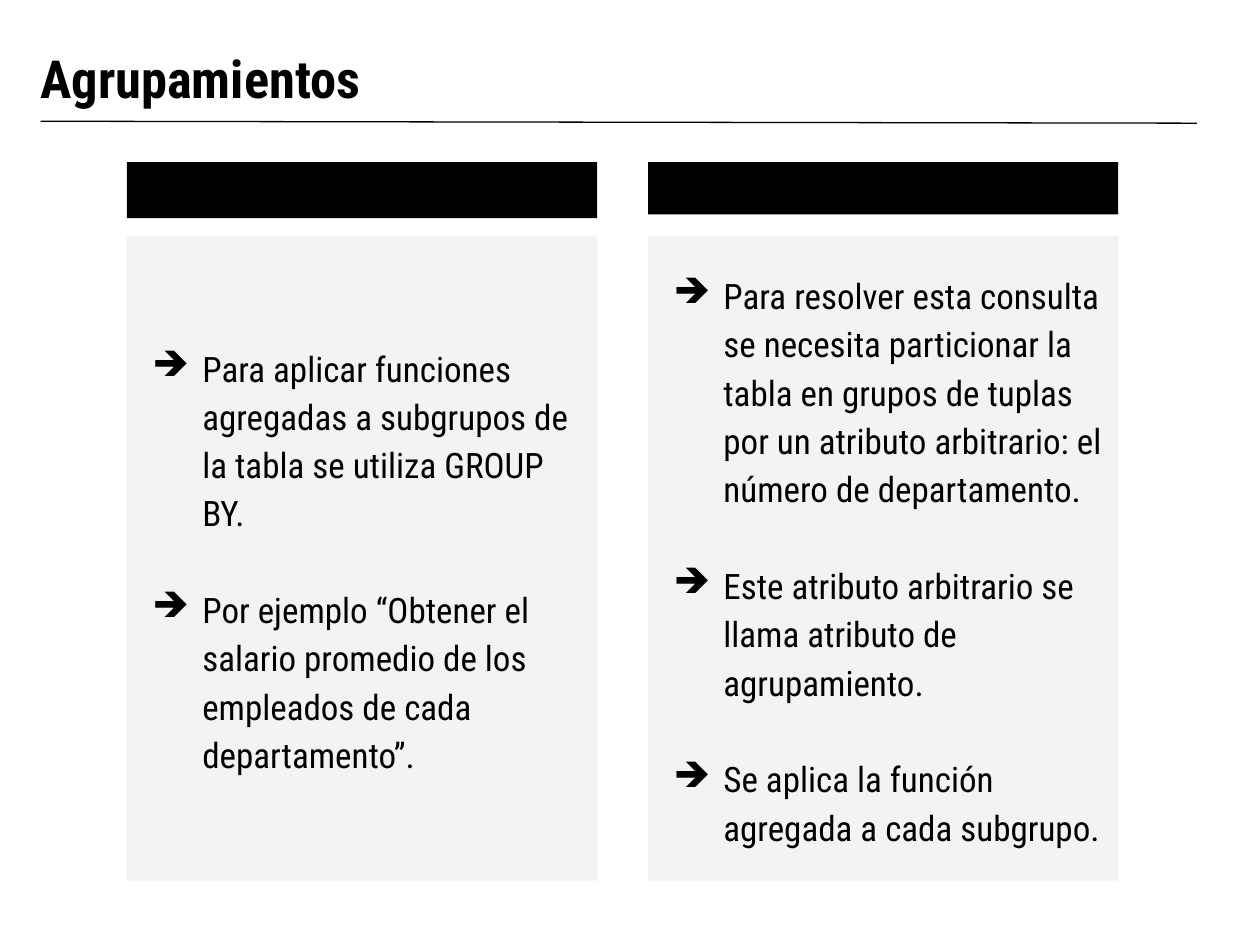
from dataclasses import dataclass

from lxml.etree import SubElement
from pptx import Presentation
from pptx.dml.color import RGBColor
from pptx.enum.shapes import MSO_CONNECTOR as Connector, MSO_SHAPE as Shape
from pptx.enum.text import MSO_ANCHOR as Anchor, PP_ALIGN as Align
from pptx.oxml.ns import qn
from pptx.util import Pt


@dataclass(frozen=True)
class Theme:
    black: RGBColor = RGBColor(0, 0, 0)
    panel: RGBColor = RGBColor(0xF3, 0xF3, 0xF3)
    font: str = "Roboto Condensed"
    title_size: float = 30
    body_size: float = 20


theme = Theme()


def add_block(left, top, width, height, color):
    shape = slide.shapes.add_shape(Shape.RECTANGLE, Pt(left), Pt(top), Pt(width), Pt(height))
    shape.shadow.inherit = False
    shape.fill.solid()
    shape.fill.fore_color.rgb = color
    shape.line.fill.background()
    return shape


def style_text(paragraph, size, bold=False):
    paragraph.alignment = Align.LEFT
    paragraph.font.name = theme.font
    paragraph.font.size = Pt(size)
    paragraph.font.bold = bold
    paragraph.font.color.rgb = theme.black


presentation = Presentation()
presentation.slide_width = Pt(720)
presentation.slide_height = Pt(540)
slide = presentation.slides.add_slide(presentation.slide_layouts[6])

rule = slide.shapes.add_connector(Connector.STRAIGHT, Pt(23.3), Pt(69.3), Pt(684), Pt(70.4))
rule.line.color.rgb = theme.black
rule.line.width = Pt(0.75)
SubElement(rule._element.spPr, qn("a:effectLst"))

title = slide.shapes.add_textbox(Pt(16), Pt(16), Pt(648), Pt(53.3))
title_frame = title.text_frame
title_frame.word_wrap = True
title_frame.vertical_anchor = Anchor.BOTTOM
title_frame.margin_top = title_frame.margin_bottom = Pt(7.2)
title_frame.text = "Agrupamientos"
style_text(title_frame.paragraphs[0], theme.title_size, bold=True)

columns = [
    (72.5, 32, [
        "Para aplicar funciones agregadas a subgrupos de la tabla se utiliza GROUP BY.",
        "Por ejemplo “Obtener el salario promedio de los empleados de cada departamento”.",
    ]),
    (370.3, 30, [
        "Para resolver esta consulta se necesita particionar la tabla en grupos de tuplas "
        "por un atributo arbitrario: el número de departamento.",
        "Este atributo arbitrario se llama atributo de agrupamiento.",
        "Se aplica la función agregada a cada subgrupo.",
    ]),
]
column_width = 268.7

for left, header_height, points in columns:
    panel = add_block(left, 134.7, column_width, 368.5, theme.panel)
    frame = panel.text_frame
    frame.word_wrap = True
    frame.vertical_anchor = Anchor.MIDDLE
    frame.margin_left = frame.margin_right = Pt(7.2)
    frame.margin_top = frame.margin_bottom = Pt(7.2)
    for index, point in enumerate(points):
        paragraph = frame.add_paragraph() if index else frame.paragraphs[0]
        paragraph.text = point
        properties = paragraph._p.get_or_add_pPr()
        properties.set("marL", str(Pt(36)))
        properties.set("indent", str(Pt(-28.5)))
        bullet_color = SubElement(properties, qn("a:buClr"))
        SubElement(bullet_color, qn("a:srgbClr"), val=str(theme.black))
        SubElement(properties, qn("a:buChar"), char="➔")
        paragraph.line_spacing = 1.15
        paragraph.space_before = Pt(27.6 if index else 0)
        style_text(paragraph, theme.body_size)
    add_block(left, 92.6, column_width, header_height, theme.black)

presentation.save("out.pptx")
